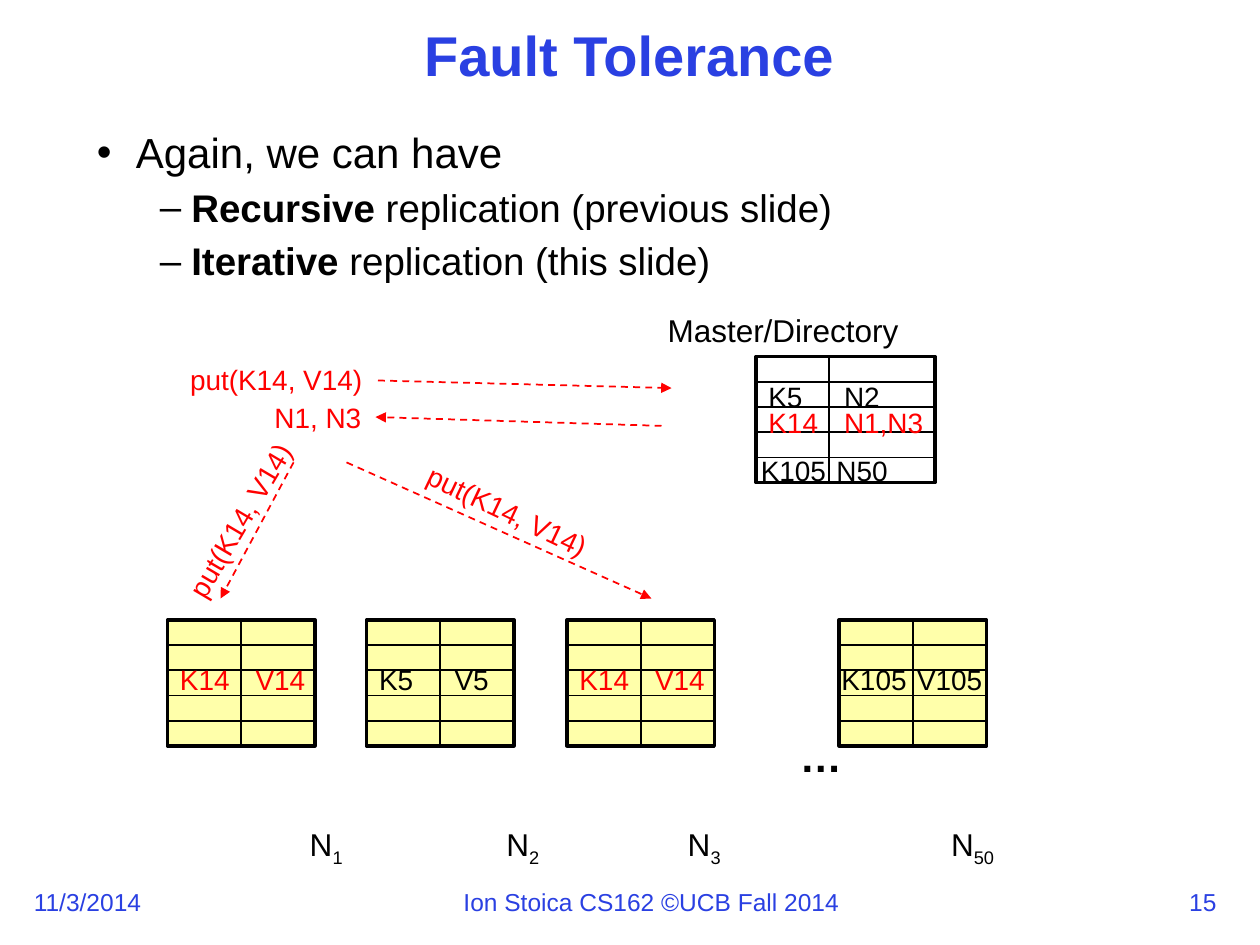
from dataclasses import dataclass

from lxml import etree
from pptx import Presentation
from pptx.dml.color import RGBColor
from pptx.enum import dml, shapes, text
from pptx.oxml import ns
from pptx.util import Inches, Pt


@dataclass(frozen=True)
class Theme:
    font: str = "Arial"
    blue: str = "2A40E2"
    black: str = "000000"
    red: str = "FF0000"
    yellow: str = "FFFFAA"
    white: str = "FFFFFF"
    title: int = 32
    body: int = 24
    sub_body: int = 22
    label: int = 18
    entry: int = 16
    footer: int = 14


THEME = Theme()
PUT = "put(K14, V14)"
ROW_HEIGHT = 0.2
ROWS = 5
VALUE_OFFSET = 0.6


def inches(*lengths):
    return [Inches(length) for length in lengths]


def add_run(paragraph, content, size=THEME.entry, color=THEME.black, bold=False, baseline=0):
    run = paragraph.add_run()
    run.text = content
    run.font.name = THEME.font
    run.font.size = Pt(size)
    run.font.bold = bold
    run.font.color.rgb = RGBColor.from_string(color)
    if baseline:
        run._r.get_or_add_rPr().set("baseline", str(baseline * 1000))


def add_text(parent, content, box, wrap=False, align=None, anchor=text.MSO_ANCHOR.TOP,
             rotation=0, **run_format):
    """Add a text box and return its first paragraph; unwrapped boxes fit their text."""
    shape = parent.add_textbox(*inches(*box))
    shape.rotation = rotation
    frame = shape.text_frame
    frame.word_wrap = wrap
    if not wrap:
        frame.auto_size = text.MSO_AUTO_SIZE.SHAPE_TO_FIT_TEXT
    frame.vertical_anchor = anchor
    paragraph = frame.paragraphs[0]
    paragraph.alignment = align
    add_run(paragraph, content, **run_format)
    return paragraph


def add_line(parent, start, end, color=THEME.black):
    line = parent.add_connector(shapes.MSO_CONNECTOR.STRAIGHT, *inches(*start, *end))
    line.line.color.rgb = RGBColor.from_string(color)
    line.line.width = Pt(1)
    etree.SubElement(line._element.spPr, ns.qn("a:effectLst"))
    return line


def add_arrow(parent, start, end):
    arrow = add_line(parent, start, end, THEME.red)
    arrow.line.dash_style = dml.MSO_LINE.DASH
    tail = etree.Element(ns.qn("a:tailEnd"), type="triangle")
    arrow.line._get_or_add_ln().append(tail)


def add_bullet(paragraph, character, margin, hanging):
    properties = paragraph._p.get_or_add_pPr()
    properties.set("marL", str(Inches(margin)))
    properties.set("indent", str(-Inches(hanging)))
    etree.SubElement(properties, ns.qn("a:buFont"), typeface=THEME.font)
    etree.SubElement(properties, ns.qn("a:buChar"), char=character)


def add_title(slide, box):
    paragraph = add_text(slide.shapes, "Fault Tolerance", box, wrap=True,
                         align=text.PP_ALIGN.CENTER, anchor=text.MSO_ANCHOR.MIDDLE,
                         size=THEME.title, color=THEME.blue, bold=True)
    paragraph.line_spacing = 0.9


def add_body(slide, box):
    shape = slide.shapes.add_textbox(*inches(*box))
    frame = shape.text_frame
    frame.word_wrap = True
    first = frame.paragraphs[0]
    first.line_spacing = 0.9
    add_bullet(first, "•", 0.31, 0.31)
    add_run(first, "Again, we can have", size=THEME.body)
    for strong, rest in (("Recursive", " replication (previous slide)"),
                         ("Iterative ", "replication (this slide)")):
        paragraph = frame.add_paragraph()
        paragraph.level = 1
        paragraph.line_spacing = 0.9
        paragraph.space_before = Pt(6.6)
        add_bullet(paragraph, "–", 0.75, 0.25)
        add_run(paragraph, strong, size=THEME.sub_body, bold=True)
        add_run(paragraph, rest, size=THEME.sub_body)


def add_store(slide, box, fill, divider=None):
    """Draw a ruled key/value store; its divider is central unless an offset is given."""
    left, top, width, height = box
    group = slide.shapes.add_group_shape().shapes
    frame = group.add_shape(shapes.MSO_SHAPE.RECTANGLE, *inches(*box))
    frame.shadow.inherit = False
    frame.fill.solid()
    frame.fill.fore_color.rgb = RGBColor.from_string(fill)
    frame.line.color.rgb = RGBColor.from_string(THEME.black)
    frame.line.width = Pt(2)
    middle = left + (divider or width / 2)
    line = add_line(group, (middle, top), (middle, top + height))
    if divider is None:
        line.begin_connect(frame, 0)
        line.end_connect(frame, 2)
    for row in range(ROWS):
        y = top + row * ROW_HEIGHT
        add_line(group, (left, y), (left + width, y))


def add_entry(slide, left, top, key, value, color):
    for x, content in ((left, key), (left + VALUE_OFFSET, value)):
        width = 0.25 + 0.12 * len(content)
        add_text(slide.shapes, content, (x, top, width, 0.37), color=color)


def add_directory(slide, box):
    left, top = box[:2]
    add_store(slide, box, THEME.white, divider=0.58)
    for shift, drop, key, value, color in (
            (0, 0.13, "K5", "N2", THEME.black),
            (0, 0.34, "K14", "N1,N3", THEME.red),
            (-0.06, 0.72, "K105", "N50", THEME.black)):
        add_entry(slide, left + shift, top + drop, key, value, color)
    add_text(slide.shapes, "Master/Directory", (left - 0.8, top - 0.41, 2.05, 0.4),
             size=THEME.label)


def add_nodes(slide, box):
    left, top, width, height = box
    for offset, shift, key, value, color, number, name_left, name_width in (
            (0, 0, "K14", "V14", THEME.red, "1", 2.36, 0.48),
            (1.58, 0, "K5", "V5", THEME.black, "2", 3.92, 0.48),
            (3.17, 0, "K14", "V14", THEME.red, "3", 5.36, 0.48),
            (5.33, -0.08, "K105", "V105", THEME.black, "50", 7.45, 0.57)):
        x = left + offset
        add_store(slide, (x, top, width, height), THEME.yellow)
        add_entry(slide, x + shift, top + 0.29, key, value, color)
        name = add_text(slide.shapes, "N", (name_left, top + 1.58, name_width, 0.4),
                        size=THEME.label)
        add_run(name, number, size=THEME.label, baseline=-25)
    add_text(slide.shapes, "…", (left + 4.92, top + 0.83, 0.54, 0.5),
             size=THEME.body, bold=True)


def add_messages(slide):
    for content, box, rotation, start, end in (
            (PUT, (1.41, 2.83, 1.59, 0.37), 0, (3, 3.02), (5.33, 3.08)),
            ("N1, N3", (2.08, 3.13, 0.9, 0.37), 0, (5.25, 3.38), (2.98, 3.31)),
            (PUT, (3.24, 3.89, 1.65, 0.37), 25.5, (2.75, 3.67), (5.17, 4.75)),
            (PUT, (1.1, 3.91, 1.65, 0.37), 300.6, (2.33, 3.67), (1.75, 4.75))):
        group = slide.shapes.add_group_shape().shapes
        add_arrow(group, start, end)
        add_text(group, content, box, wrap=bool(rotation), rotation=rotation, color=THEME.red)


def add_footer(slide, top):
    for content, left, width in (("11/3/2014", 0.17, 1.06),
                                 ("Ion Stoica CS162 ©UCB Fall 2014", 3.58, 3.21),
                                 ("15", 9.34, 0.44)):
        add_text(slide.shapes, content, (left, top, width, 0.34),
                 size=THEME.footer, color=THEME.blue)


def main():
    presentation = Presentation()
    presentation.slide_width, presentation.slide_height = inches(10, 7.5)
    slide = presentation.slides.add_slide(presentation.slide_layouts[6])
    add_footer(slide, 6.99)
    add_title(slide, (1.08, 0.17, 7.83, 0.58))
    add_body(slide, (0.67, 1, 9.08, 1.42))
    add_nodes(slide, (1.33, 4.92, 1.17, 1))
    add_directory(slide, (6, 2.83, 1.42, 1))
    add_messages(slide)
    presentation.save("out.pptx")


if __name__ == "__main__":
    main()
